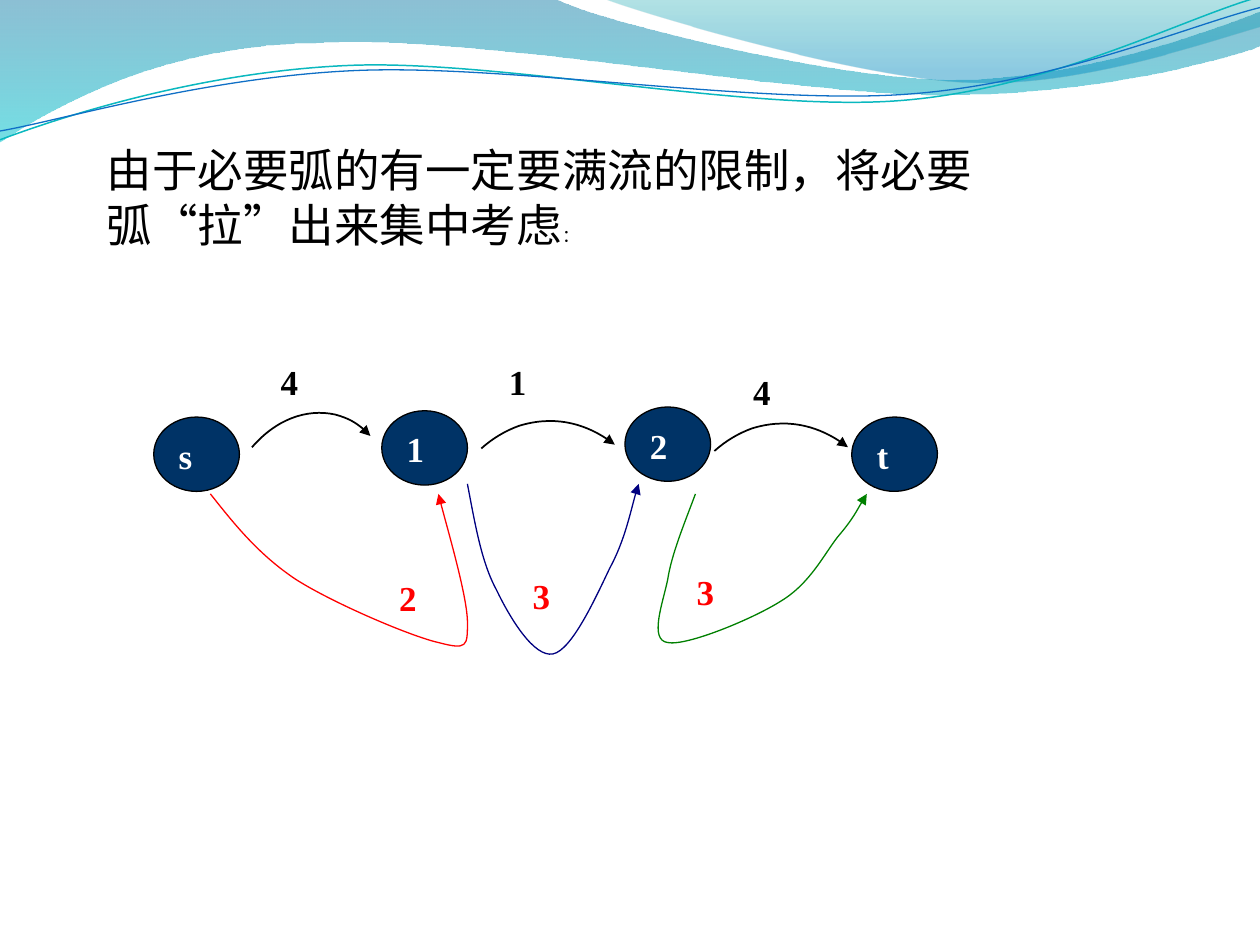
from lxml import etree
from pptx import Presentation
from pptx.dml.color import RGBColor
from pptx.enum.shapes import MSO_SHAPE
from pptx.enum.text import MSO_ANCHOR, PP_ALIGN
from pptx.oxml.ns import qn
from pptx.util import Inches, Pt

OVAL = MSO_SHAPE.OVAL
TOP = MSO_ANCHOR.TOP
MIDDLE = MSO_ANCHOR.MIDDLE
LEFT = PP_ALIGN.LEFT

BLACK = RGBColor(0x00, 0x00, 0x00)
WHITE = RGBColor(0xFF, 0xFF, 0xFF)
NAVY = RGBColor(0x00, 0x33, 0x66)
RED = RGBColor(0xFF, 0x00, 0x00)
BLUE = RGBColor(0x00, 0x00, 0x80)
GREEN = RGBColor(0x00, 0x80, 0x00)
WAVE_TEAL = RGBColor(0x0A, 0xB8, 0xBF)
WAVE_BLUE = RGBColor(0x0F, 0x6F, 0xC6)

# A gradient stop is (position, colour, opacity in percent).
WIDE_GRADIENT = [(0, RGBColor(0x00, 0x74, 0xA1), 45),
                 (1, RGBColor(0x00, 0xC6, 0xCF), 55)]
CORNER_GRADIENT = [(0, RGBColor(0x00, 0xA1, 0xA9), 30),
                   (0.8, RGBColor(0x00, 0x8B, 0xBF), 45)]

# An outline is a start point, then segments: one point for a line, three for a curve.
WIDE_WAVE = [
    (0, -0.01), [(4.4, -0.01)],
    [(4.76, 0.17), (6.64, 0.63), (7.58, 0.63)],
    [(8.53, 0.63), (9.58, 0.26), (10, 0.09)], [(10.01, 0.36)],
    [(9.83, 0.44), (8.7, 0.76), (7.46, 0.75)],
    [(6.22, 0.75), (3.82, 0.28), (2.57, 0.34)],
    [(1.29, 0.35), (0.46, 0.83), (-0.01, 1.13)]]
CORNER_WAVE = [
    (4.79, -0.01),
    [(5.09, 0.11), (6.82, 0.62), (7.69, 0.65)],
    [(8.56, 0.69), (9.61, 0.32), (10, 0.21)], [(10, 0)]]
TEAL_WAVE = [
    (0, 1.11),
    [(0.48, 0.93), (1.58, 0.57), (2.77, 0.52)],
    [(3.95, 0.47), (5.93, 0.89), (7.13, 0.8)],
    [(8.33, 0.71), (9.38, 0.15), (9.98, -0.02)]]
BLUE_WAVE = [
    (0, 1.04),
    [(0.47, 0.96), (1.64, 0.61), (2.83, 0.56)],
    [(4.03, 0.51), (5.97, 0.83), (7.17, 0.75)],
    [(8.36, 0.67), (9.41, 0.21), (10, 0.06)]]

NODES = [("s", 1.22, 3.31, 0), ("1", 3.03, 3.26, 0),
         ("2", 4.96, 3.23, 0), ("t", 6.76, 3.31, -1.6)]
CAPACITIES = [("4", 2.13, 2.81, BLACK), ("1", 3.94, 2.81, BLACK),
              ("4", 5.88, 2.89, BLACK), ("2", 3.07, 4.53, RED),
              ("3", 4.13, 4.51, RED), ("3", 5.43, 4.48, RED)]

FIRST_ARC = [(2, 3.55),
             [(2.19, 3.33), (2.43, 3.24), (2.66, 3.29)],
             [(2.77, 3.32), (2.87, 3.38), (2.94, 3.46)]]
ARC_STEPS = [[(0.09, -0.08), (0.19, -0.14), (0.3, -0.18)],
             [(0.56, -0.26), (0.85, -0.2), (1.06, -0.03)]]
ARC_STARTS = [(3.82, 3.56), (5.67, 3.58)]

NECESSARY_ARCS = [
    (BLUE, [(3.71, 3.84),
            [(3.77, 4.15), (3.82, 4.46), (3.94, 4.68)],
            [(4.05, 4.91), (4.24, 5.22), (4.39, 5.19)],
            [(4.54, 5.16), (4.73, 4.74), (4.84, 4.51)],
            [(4.96, 4.29), (5.03, 3.95), (5.07, 3.84)]]),
    (RED, [(1.67, 3.92),
           [(1.86, 4.16), (2.05, 4.4), (2.35, 4.6)],
           [(2.65, 4.79), (3.26, 5.05), (3.48, 5.1)],
           [(3.71, 5.16), (3.71, 5.13), (3.71, 4.94)],
           [(3.71, 4.74), (3.52, 4.09), (3.48, 3.92)]]),
    (GREEN, [(5.52, 3.92),
             [(5.43, 4.16), (5.33, 4.4), (5.3, 4.6)],
             [(5.26, 4.79), (5.15, 5.08), (5.3, 5.1)],
             [(5.45, 5.13), (5.98, 4.91), (6.2, 4.77)],
             [(6.43, 4.63), (6.54, 4.4), (6.65, 4.26)],
             [(6.77, 4.12), (6.84, 3.98), (6.88, 3.92)]])]


class FlowSlide:
    font = "Times New Roman"
    label_size = Pt(20)

    def __init__(self, slide):
        self.shapes = slide.shapes

    def outline(self, points, close=False):
        """Build a freeform whose three-point segments are Bezier curves."""
        start, *segments = points
        builder = self.shapes.build_freeform(Inches(start[0]), Inches(start[1]))
        builder.add_line_segments(
            [(Inches(x), Inches(y)) for segment in segments for x, y in segment],
            close=close)
        shape = builder.convert_to_shape()
        shape.shadow.inherit = False
        steps = iter(shape._element.xpath(".//a:lnTo"))
        for segment in segments:
            group = [next(steps) for _ in segment]
            if len(group) == 3:
                curve = etree.Element(qn("a:cubicBezTo"))
                group[0].addprevious(curve)
                for step in group:
                    curve.append(step[0])
                    step.getparent().remove(step)
        return shape

    def wave(self, points, gradient):
        shape = self.outline(points, close=True)
        shape.line.fill.background()
        shape.fill.gradient()
        shape.fill.gradient_angle = 270
        for stop, (position, color, _) in zip(shape.fill.gradient_stops, gradient):
            stop.position = position
            stop.color.rgb = color
        colors = shape._element.xpath(".//a:gs/a:srgbClr")
        for color, (_, _, opacity) in zip(colors, gradient):
            etree.SubElement(color, qn("a:alpha"), val=str(opacity * 1000))

    def curve(self, points, color, width, arrow=False):
        shape = self.outline(points)
        shape.fill.background()
        shape.line.color.rgb = color
        shape.line.width = Pt(width)
        if arrow:
            line = shape._element.xpath("./p:spPr/a:ln")[0]
            etree.SubElement(line, qn("a:tailEnd"), type="triangle")

    def label(self, frame, text, color):
        frame.word_wrap = True
        frame.vertical_anchor = TOP
        paragraph = frame.paragraphs[0]
        paragraph.text = text
        paragraph.alignment = LEFT
        font = paragraph.font
        font.name, font.size, font.bold = self.font, self.label_size, True
        font.color.rgb = color

    def node(self, text, left, top, rotation):
        oval = self.shapes.add_shape(
            OVAL, Inches(left), Inches(top), Inches(0.68), Inches(0.59))
        oval.shadow.inherit = False
        oval.rotation = rotation
        oval.fill.solid()
        oval.fill.fore_color.rgb = NAVY
        oval.line.color.rgb = BLACK
        oval.line.width = Pt(0.75)
        self.label(oval.text_frame, text, WHITE)

    def capacity(self, text, left, top, color):
        box = self.shapes.add_textbox(
            Inches(left), Inches(top), Inches(0.7), Inches(0.51))
        self.label(box.text_frame, text, color)

    def statement(self, text, ending):
        box = self.shapes.add_textbox(
            Inches(0.75), Inches(1.07), Inches(8.74), Inches(0.98))
        frame = box.text_frame
        frame.word_wrap = True
        frame.vertical_anchor = MIDDLE
        paragraph = frame.paragraphs[0]
        paragraph.font.name = self.font
        paragraph.font.color.rgb = BLACK
        for words, size in ((text, 26), (ending, 10)):
            run = paragraph.add_run()
            run.text = words
            run.font.size = Pt(size)


def main():
    deck = Presentation()
    deck.slide_width, deck.slide_height = Inches(10), Inches(7.5)
    page = FlowSlide(deck.slides.add_slide(deck.slide_layouts[6]))

    page.wave(WIDE_WAVE, WIDE_GRADIENT)
    page.wave(CORNER_WAVE, CORNER_GRADIENT)
    page.curve(TEAL_WAVE, WAVE_TEAL, 0.85)
    page.curve(BLUE_WAVE, WAVE_BLUE, 0.75)

    page.statement("由于必要弧的有一定要满流的限制，将必要弧“拉”出来集中考虑", "：")
    for node in NODES:
        page.node(*node)
    page.curve(FIRST_ARC, BLACK, 1, arrow=True)
    for x, y in ARC_STARTS:
        steps = [[(x + dx, y + dy) for dx, dy in step] for step in ARC_STEPS]
        page.curve([(x, y), *steps], BLACK, 1, arrow=True)
    for capacity in CAPACITIES:
        page.capacity(*capacity)
    for color, points in NECESSARY_ARCS:
        page.curve(points, color, 0.75, arrow=True)

    deck.save("out.pptx")


if __name__ == "__main__":
    main()
